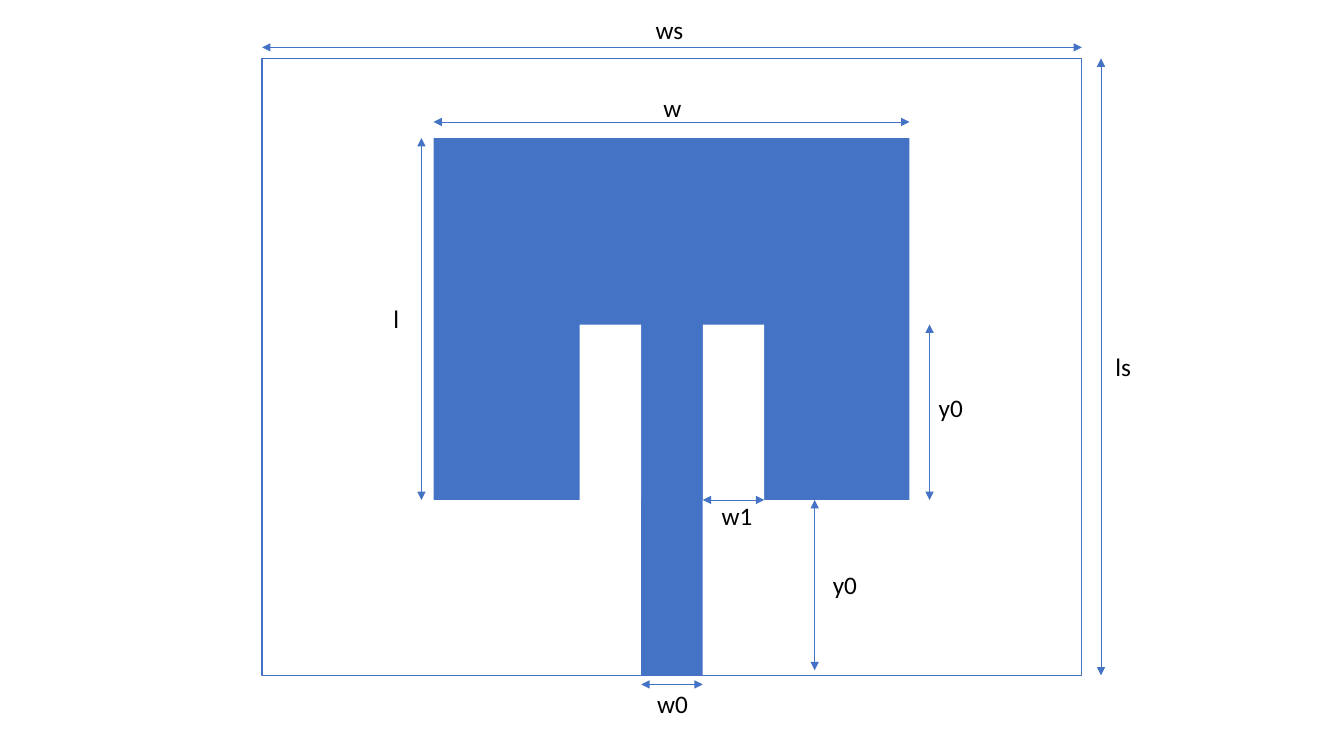
"""Draw the dimensioned layout of an inset-fed patch antenna."""
import pptx
import pptx.dml.color
import pptx.enum.shapes
import pptx.enum.text
import pptx.oxml
import pptx.oxml.ns
import pptx.util

BLUE = pptx.dml.color.RGBColor(0x44, 0x72, 0xC4)
WHITE = pptx.dml.color.RGBColor(0xFF, 0xFF, 0xFF)
BLACK = pptx.dml.color.RGBColor(0x00, 0x00, 0x00)
PX = 9144

deck = pptx.Presentation()
deck.slide_width, deck.slide_height = 1333 * PX, 750 * PX
slide = deck.slides.add_slide(deck.slide_layouts[6])

patch_left, patch_top, patch_width, patch_bottom = 430, 137, 472, 496
patch_right = patch_left + patch_width
feed_left, feed_width, inset = 636, 61, 174
feed_right = feed_left + feed_width
slot_right = feed_right + feed_width
slot_top = patch_bottom - inset
board_left, board_top, board_width, board_height = 260, 58, 813, 612
board_right, board_bottom = board_left + board_width, board_top + board_height

areas = [
    (patch_left, patch_top, patch_width, patch_bottom - patch_top, BLUE),
    (feed_left, patch_bottom, feed_width, inset, BLUE),
    (feed_left - feed_width, slot_top, feed_width, inset, WHITE),
    (feed_right, slot_top, feed_width, inset, WHITE),
    (board_left, board_top, board_width, board_height, None),
]
for left, top, width, height, color in areas:
    area = slide.shapes.add_shape(
        pptx.enum.shapes.MSO_SHAPE.RECTANGLE, left * PX, top * PX, width * PX, height * PX)
    area.shadow.inherit = False
    if color is None:
        area.fill.background()
        area.line.color.rgb = BLUE
        area.line.width = pptx.util.Pt(1)
    else:
        area.fill.solid()
        area.fill.fore_color.rgb = color
        area.line.fill.background()

dimensions = [
    ("w1", feed_right, patch_bottom, slot_right, patch_bottom, 703, 491),
    ("w0", feed_left, 679, feed_right, 679, 639, 678),
    ("y0", 808, 665, 808, patch_bottom, 810, 560),
    ("y0", 922, patch_bottom, 922, slot_top, 915, 384),
    ("ls", 1092, board_bottom, 1092, board_top, 1086, 344),
    ("ws", board_left, 47, board_right, 47, 636, 9),
    ("w", patch_left, 121, patch_right, 121, 639, 87),
    ("l", 418, patch_top, 418, patch_bottom, 365, 296),
]
for name, x1, y1, x2, y2, label_left, label_top in dimensions:
    arrow = slide.shapes.add_connector(
        pptx.enum.shapes.MSO_CONNECTOR.STRAIGHT, x1 * PX, y1 * PX, x2 * PX, y2 * PX)
    arrow.line.color.rgb = BLUE
    arrow.line.width = pptx.util.Pt(0.5)
    stroke = arrow.line._get_or_add_ln()
    for end in ("a:headEnd", "a:tailEnd"):
        stroke.append(pptx.oxml.parse_xml(
            f'<{end} {pptx.oxml.ns.nsdecls("a")} type="triangle"/>'))
    arrow._element.spPr.append(
        pptx.oxml.parse_xml(f'<a:effectLst {pptx.oxml.ns.nsdecls("a")}/>'))

    label = slide.shapes.add_textbox(label_left * PX, label_top * PX, 56 * PX, 40 * PX)
    label.text_frame.word_wrap = True
    label.text_frame.auto_size = pptx.enum.text.MSO_AUTO_SIZE.SHAPE_TO_FIT_TEXT
    paragraph = label.text_frame.paragraphs[0]
    paragraph.alignment = pptx.enum.text.PP_ALIGN.CENTER
    symbol = paragraph.add_run()
    symbol.text = name
    symbol.font.color.rgb = BLACK
    for attribute, value in {"name": "Calibri", "size": pptx.util.Pt(18)}.items():
        setattr(symbol.font, attribute, value)

deck.save("out.pptx")
